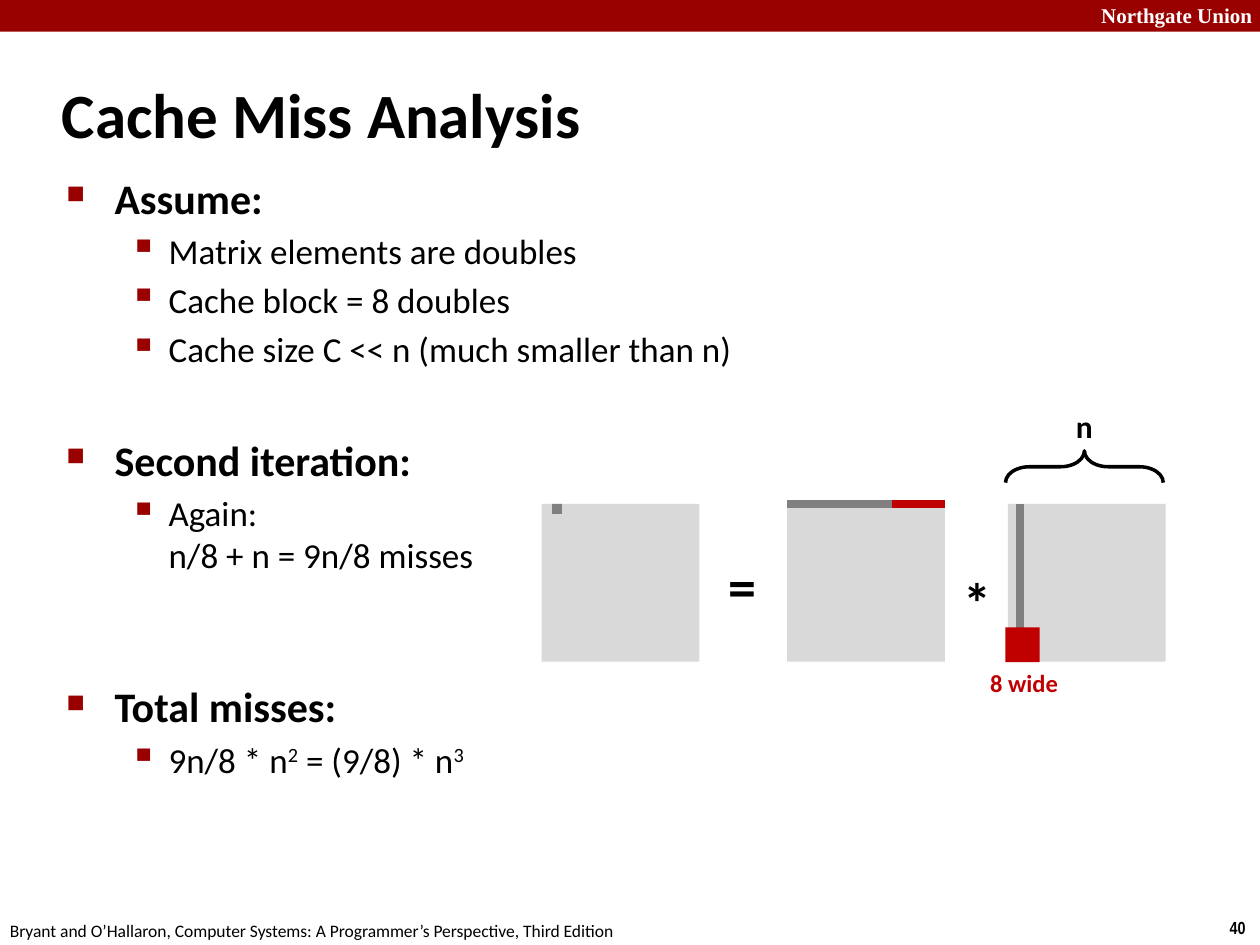
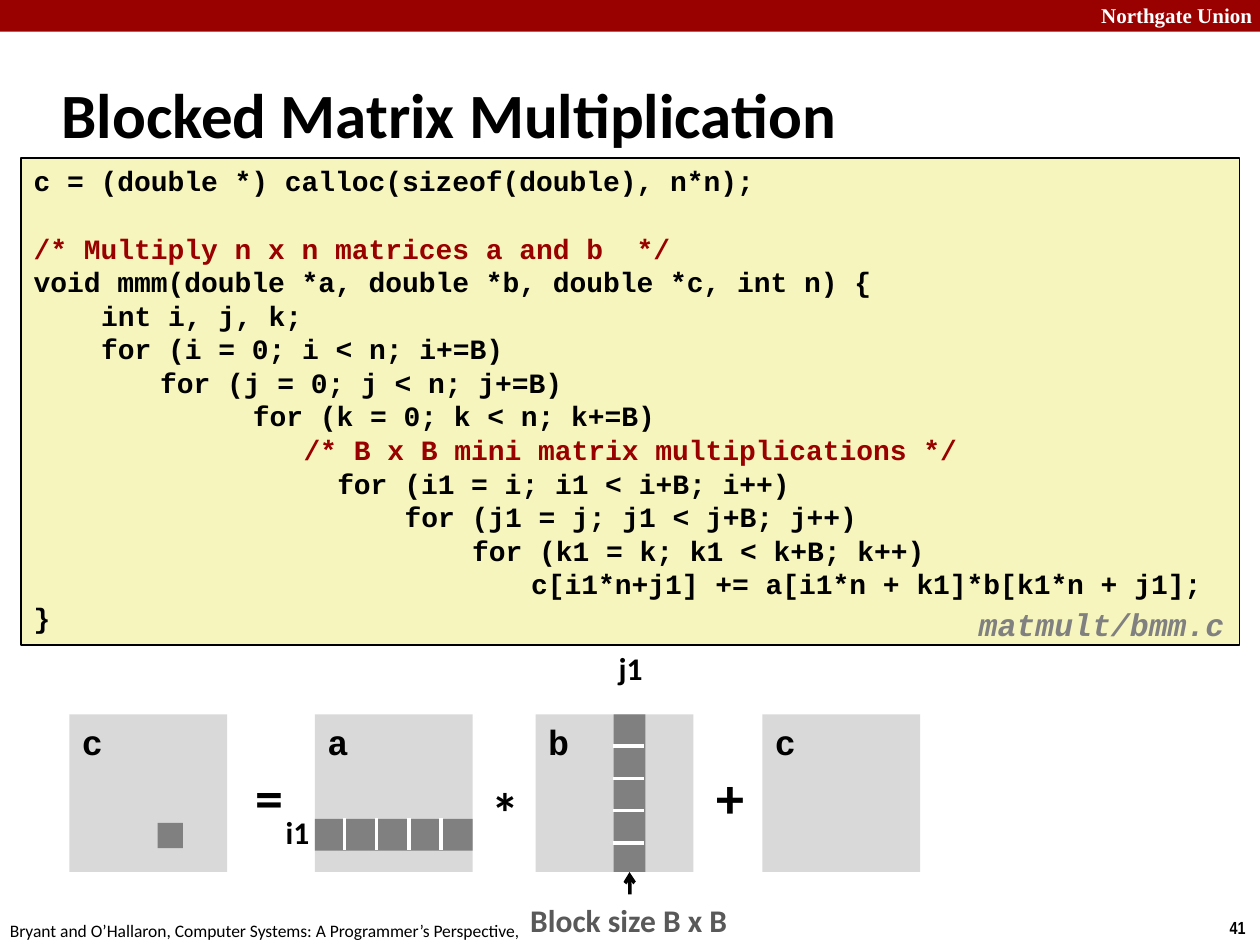
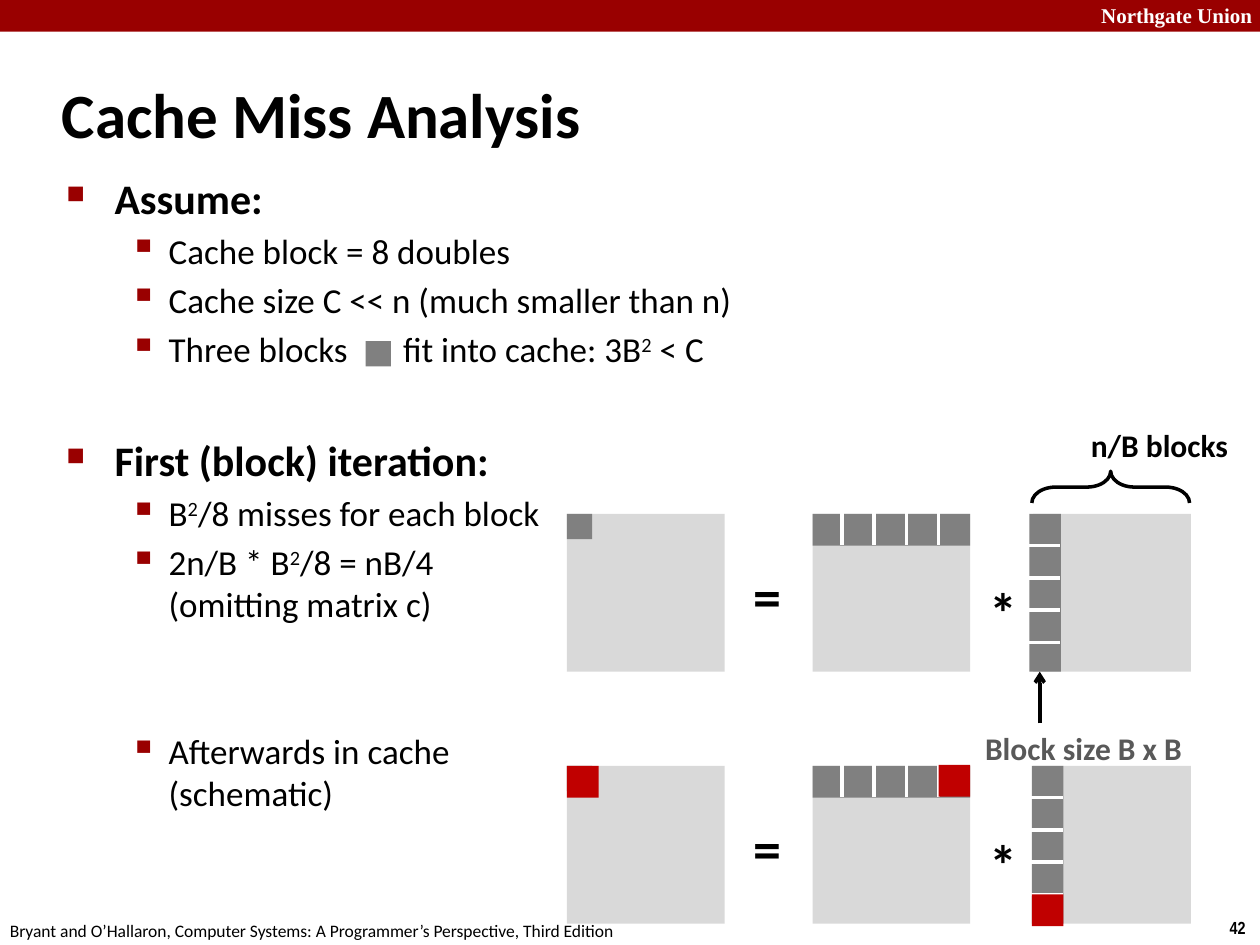
import pptx
import pptx.dml.color
import pptx.enum.shapes
import pptx.enum.text
import pptx.oxml
import pptx.oxml.ns
import pptx.util

Cm = pptx.util.Cm
Pt = pptx.util.Pt
KIND = pptx.enum.shapes.MSO_SHAPE
HUE = {
    "band": "990000", "red": "C00000", "mid": "808080", "pale": "D9D9D9",
    "note": "595959", "code": "F6F5BD", "ink": "000000", "white": "FFFFFF",
}
SIDE, CELL, STEP = 3.18, 0.64, 0.65
ADD_X, LAST_X = 12.8, 13.97
FOOT = ("Bryant and O’Hallaron, Computer Systems: "
        "A Programmer’s Perspective, Third Edition")


class Deck:
    """Holds the style and the current slide, and draws each kind of element."""

    def __init__(self):
        self.show = pptx.Presentation()
        self.show.slide_width = Cm(25.4)
        self.show.slide_height = Cm(19.05)
        self.page = 40

    def tone(self, name):
        return pptx.dml.color.RGBColor.from_string(HUE[name])

    def node(self, owner, tag, **attrs):
        item = pptx.oxml.parse_xml(f"<a:{tag} {pptx.oxml.ns.nsdecls('a')}/>")
        for key, value in attrs.items():
            item.set(key, str(value))
        owner.append(item)
        return item

    def slide(self, title):
        self.now = self.show.slides.add_slide(self.show.slide_layouts[5])
        self.rect(0, 0, 25.4, 0.64, "band")
        self.text(21.95, -0.08, 3.63, 0.76, "Northgate Union", 12, "white",
                  "Times New Roman")
        self.text(24.54, 18.36, 0.86, 0.69, str(self.page), 10,
                  font="Arial Narrow")
        self.text(-0.05, 18.42, 12.9, 0.69, FOOT, 10, bold=False)
        self.page += 1
        head = self.now.shapes.title
        head.left, head.top = Cm(0.99), Cm(1.22)
        head.width, head.height = Cm(21.08), Cm(2.11)
        frame = head.text_frame
        frame.vertical_anchor = pptx.enum.text.MSO_ANCHOR.MIDDLE
        frame.auto_size = pptx.enum.text.MSO_AUTO_SIZE.NONE
        para = frame.paragraphs[0]
        para.alignment = pptx.enum.text.PP_ALIGN.LEFT
        self.run(para, title, 36)

    def run(self, para, words, size, hue="ink", font="Calibri", bold=True,
            slant=False):
        piece = para.add_run()
        piece.text = words
        face = piece.font
        face.size, face.name = Pt(size), font
        face.bold, face.italic = bold, slant
        face.color.rgb = self.tone(hue)
        return piece

    def text(self, x, y, w, h, words, size, hue="ink", font="Calibri",
             bold=True, slant=False):
        box = self.now.shapes.add_textbox(Cm(x), Cm(y), Cm(w), Cm(h))
        box.text_frame.word_wrap = False
        self.run(box.text_frame.paragraphs[0], words, size, hue, font, bold,
                 slant)
        return box

    def rect(self, x, y, w, h, hue, edge=None):
        box = self.now.shapes.add_shape(KIND.RECTANGLE, Cm(x), Cm(y), Cm(w),
                                        Cm(h))
        box.shadow.inherit = False
        box.fill.solid()
        box.fill.fore_color.rgb = self.tone(hue)
        if edge:
            box.line.color.rgb = self.tone(edge)
            box.line.width = Pt(1)
        else:
            box.line.fill.background()
        return box

    def line(self, x, y, to_x, to_y, hue, width=2, arrow=False):
        link = self.now.shapes.add_connector(
            pptx.enum.shapes.MSO_CONNECTOR.STRAIGHT,
            Cm(x), Cm(y), Cm(to_x), Cm(to_y))
        link.line.color.rgb = self.tone(hue)
        link.line.width = Pt(width)
        if arrow:
            self.node(link.line._get_or_add_ln(), "tailEnd", type="arrow")
        self.node(link._element.spPr, "effectLst")
        return link

    def brace(self, x, y):
        mid = (SIDE - CELL) / 2
        form = self.now.shapes.add_shape(KIND.LEFT_BRACE, Cm(x + mid),
                                         Cm(y - mid), Cm(CELL), Cm(SIDE))
        form.rotation = 90
        form.adjustments[0] = 0.75
        form.shadow.inherit = False
        form.fill.background()
        form.line.color.rgb = self.tone("ink")
        form.line.width = Pt(2)

    def grid(self, x, y, name=""):
        box = self.rect(x, y, SIDE, SIDE, "pale")
        if name:
            box.text_frame.vertical_anchor = pptx.enum.text.MSO_ANCHOR.TOP
            para = box.text_frame.paragraphs[0]
            para.alignment = pptx.enum.text.PP_ALIGN.LEFT
            self.run(para, name, 20, font="Courier New")

    def sign(self, x, y, mark):
        self.text(x, y, 1.09, 1.63, mark, 32)

    def product(self, x, y, names=("", "", "")):
        for gap, name in zip((0, 4.95, 9.4), names):
            self.grid(x + gap, y, name)
        self.sign(x + 3.51, y + 0.84, "=")
        self.sign(x + 8.26, y + 1.15, "*")

    def row(self, x, y):
        self.rect(x, y, SIDE, CELL, "mid")
        for i in range(4):
            cut = x + 0.59 + STEP * i
            self.line(cut, y - 0.02, cut, y + CELL - 0.02, "white")

    def column(self, x, y):
        strip = self.rect(x, y, CELL, SIDE, "mid")
        for i in range(4):
            cut = y + 0.64 + STEP * i
            self.line(x - 0.02, cut, x + CELL - 0.02, cut, "white")
        return strip

    def rich(self, para, words, size, bold):
        for i, part in enumerate(words.split("^")):
            if i:
                mark = self.run(para, part[0], size, bold=bold)
                props = mark._r.get_or_add_rPr()
                if part[0] == " ":
                    props.set("spc", "2700")
                else:
                    props.set("baseline", "30000")
                part = part[1:]
            for j, line in enumerate(part.split("\n")):
                if j:
                    para.add_line_break()
                if line:
                    self.run(para, line, size, bold=bold)

    def new(self, frame, first):
        return frame.paragraphs[0] if first else frame.add_paragraph()

    def body(self, items):
        box = self.now.shapes.add_textbox(Cm(1.09), Cm(3.35), Cm(21.95),
                                          Cm(8.48))
        box.text_frame.word_wrap = True
        for i, (level, words, gap) in enumerate(items):
            para = self.new(box.text_frame, i == 0)
            para.level = level
            para.space_before = Pt(gap)
            size, left, hang, scale, dot = (
                (20, 2.06, 0.79, 110, "▪") if level
                else (24, 0.97, 0.97, 60, "■"))
            props = para._p.get_or_add_pPr()
            props.set("marL", str(Cm(left)))
            props.set("indent", str(-Cm(hang)))
            self.node(self.node(props, "buClr"), "srgbClr", val=HUE["band"])
            self.node(props, "buSzPct", val=scale * 1000)
            self.node(props, "buChar", char=dot)
            self.rich(para, words, size, level == 0)

    def code(self, lines):
        box = self.rect(0.43, 3.18, 24.56, 9.83, "code", "ink")
        frame = box.text_frame
        frame.word_wrap = True
        frame.vertical_anchor = pptx.enum.text.MSO_ANCHOR.TOP
        for i, (col, words) in enumerate(lines):
            para = self.new(frame, i == 0)
            para.alignment = pptx.enum.text.PP_ALIGN.LEFT
            para.line_spacing = Pt(19.2)
            para.space_before = Pt(19.2 if i == 1 else 0)
            para._p.get_or_add_pPr().set("marL", str(Cm(0.34 * col)))
            hue = "band" if words.startswith("/*") else "ink"
            self.run(para, words, 16, hue, "Courier New")


def second(deck):
    deck.slide("Cache Miss Analysis")
    deck.body([
        (0, "Assume:", 4),
        (1, "Matrix elements are doubles", 4),
        (1, "Cache block = 8 doubles", 4),
        (1, "Cache size C << n (much smaller than n)", 4),
        (0, "Second iteration:", 37),
        (1, "Again:\nn/8 + n = 9n/8 misses", 4),
        (0, "Total misses:", 60),
        (1, "9n/8 * n^2 = (9/8) * n^3", 4),
    ])
    x, y = 10.92, 10.16
    deck.brace(20.27, 9.09)
    deck.text(21.44, 8.08, 0.86, 1.02, "n", 18)
    deck.product(x, y)
    left = x + 4.95
    deck.line(left, y, left + SIDE, y, "mid", 4.5)
    deck.line(20.57, y, 20.57, y + SIDE, "mid", 4.5)
    deck.rect(11.13, y, 0.2, 0.2, "mid")
    deck.line(17.98, y, left + SIDE, y, "red", 4.5)
    deck.rect(20.27, 12.65, 0.69, 0.7, "red")
    deck.text(19.71, 13.34, 1.88, 0.86, "8 wide", 14, "red")


def blocked(deck):
    deck.slide("Blocked Matrix Multiplication")
    deck.code([
        (0, "c = (double *) calloc(sizeof(double), n*n);"),
        (0, "/* Multiply n x n matrices a and b  */"),
        (0, "void mmm(double *a, double *b, double *c, int n) {"),
        (4, "int i, j, k;"),
        (4, "for (i = 0; i < n; i+=B)"),
        (7.5, "for (j = 0; j < n; j+=B)"),
        (13, "for (k = 0; k < n; k+=B)"),
        (16, "/* B x B mini matrix multiplications */"),
        (18, "for (i1 = i; i1 < i+B; i++)"),
        (22, "for (j1 = j; j1 < j+B; j++)"),
        (26, "for (k1 = k; k1 < k+B; k++)"),
        (29.5, "c[i1*n+j1] += a[i1*n + k1]*b[k1*n + j1];"),
        (0, "}"),
    ])
    x, y = 1.4, 14.4
    deck.product(x, y, "cab")
    deck.sign(x + ADD_X, y + 0.84, "+")
    deck.grid(x + LAST_X, y, "c")
    deck.text(5.51, 16.26, 0.99, 1.02, "i1", 18)
    deck.text(12.22, 12.95, 0.99, 1.02, "j1", 18)
    deck.rect(3.18, 16.59, 0.51, 0.51, "mid")
    deck.row(x + 4.95, 16.51)
    strip = deck.column(12.37, y)
    deck.rect(10.44, 18.03, 4.52, 1.02, "white")
    size = deck.text(10.44, 18.03, 4.52, 1.02, "Block size B x B", 18, "note")
    arrow = deck.line(12.7, 18.03, 12.69, 17.58, "ink", arrow=True)
    arrow.begin_connect(size, 0)
    arrow.end_connect(strip, 2)
    deck.text(19.48, 12.07, 5.66, 0.99, "matmult/bmm.c", 18, "mid",
              "Courier New", slant=True)


def first(deck):
    deck.slide("Cache Miss Analysis")
    deck.body([
        (0, "Assume:", 4),
        (1, "Cache block = 8 doubles", 4),
        (1, "Cache size C << n (much smaller than n)", 4),
        (1, "Three blocks^ fit into cache: 3B^2 < C", 4),
        (0, "First (block) iteration:", 37),
        (1, "B^2/8 misses for each block", 4),
        (1, "2n/B * B^2/8 = nB/4\n(omitting matrix c)", 4),
        (1, "Afterwards in cache\n(schematic)", 60),
    ])
    x, high, low = 11.43, 10.36, 15.44
    deck.rect(7.37, 6.88, 0.51, 0.51, "mid")
    for y, side in ((low, 20.8), (high, 20.75)):
        deck.product(x, y)
        deck.rect(x, y, 0.51, 0.51, "mid")
        deck.row(x + 4.95, y)
        deck.column(side, y)
    deck.text(19.61, 14.58, 4.52, 1.02, "Block size B x B", 18, "note")
    deck.line(20.96, 14.58, 20.96, 13.54, "ink", arrow=True)
    deck.brace(20.8, 9.5)
    deck.text(21.74, 8.46, 3.3, 1.02, "n/B blocks", 18)
    for left, top in ((x, low), (18.92, 15.42), (20.8, 18.03)):
        deck.rect(left, top, CELL, CELL, "red")


def main():
    deck = Deck()
    second(deck)
    blocked(deck)
    first(deck)
    deck.show.save("out.pptx")


if __name__ == "__main__":
    main()
